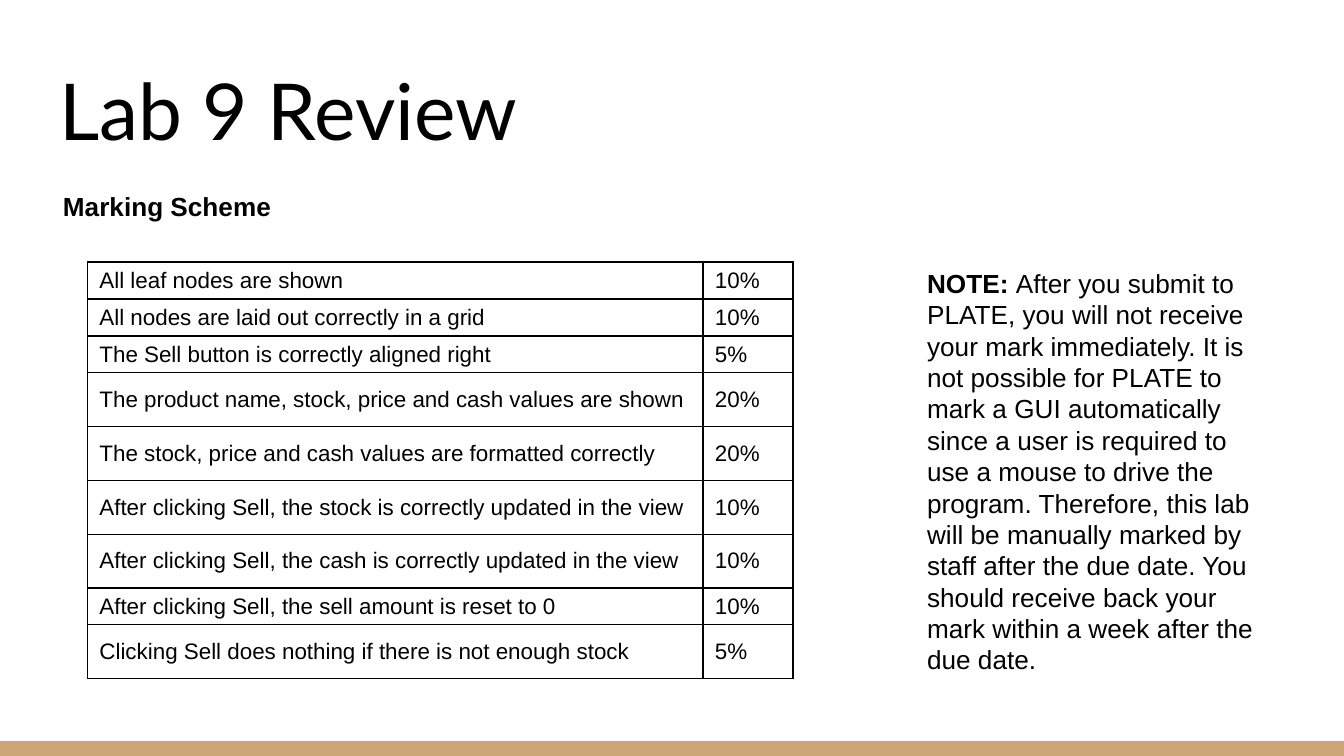
import pptx
import pptx.dml.color
import pptx.enum.shapes
import pptx.enum.text
import pptx.oxml
import pptx.oxml.ns
import pptx.util

BLACK = pptx.dml.color.RGBColor(0x00, 0x00, 0x00)
TAN = pptx.dml.color.RGBColor(0xCC, 0xA6, 0x77)
WIDTH = 10
HEIGHT = WIDTH * 9 / 16
ROW_SHORT, ROW_TALL = pptx.util.Pt(19.8), pptx.util.Pt(28.8)
COLUMNS = (4.58, 0.67)

MARKS = [
    ("All leaf nodes are shown", "10%", ROW_SHORT),
    ("All nodes are laid out correctly in a grid", "10%", ROW_SHORT),
    ("The Sell button is correctly aligned right", "5%", ROW_SHORT),
    ("The product name, stock, price and cash values are shown", "20%", ROW_TALL),
    ("The stock, price and cash values are formatted correctly", "20%", ROW_TALL),
    ("After clicking Sell, the stock is correctly updated in the view", "10%", ROW_TALL),
    ("After clicking Sell, the cash is correctly updated in the view", "10%", ROW_TALL),
    ("After clicking Sell, the sell amount is reset to 0", "10%", ROW_SHORT),
    ("Clicking Sell does nothing if there is not enough stock", "5%", ROW_TALL),
]
NOTE = (
    "After you submit to PLATE, you will not receive your mark immediately. "
    "It is not possible for PLATE to mark a GUI automatically since a user is "
    "required to use a mouse to drive the program. Therefore, this lab will be "
    "manually marked by staff after the due date. You should receive back your "
    "mark within a week after the due date."
)


def inches(box):
    return [pptx.util.Inches(v) for v in box]


def set_font(p, size, name="Arial"):
    p.font.size = pptx.util.Pt(size)
    p.font.name = name
    p.font.color.rgb = BLACK


def add_footer_bar(s, box):
    bar = s.shapes.add_shape(pptx.enum.shapes.MSO_SHAPE.RECTANGLE, *inches(box))
    bar.shadow.inherit = False
    bar.fill.solid()
    bar.fill.fore_color.rgb = TAN
    bar.line.fill.background()


def set_title(s, box, text):
    title = s.shapes.title
    title.left, title.top, title.width, title.height = inches(box)
    tf = title.text_frame
    tf.text = text
    tf.auto_size = pptx.enum.text.MSO_AUTO_SIZE.NONE
    tf.vertical_anchor = pptx.enum.text.MSO_ANCHOR.BOTTOM
    tf.margin_left = tf.margin_right = pptx.util.Inches(0.1)
    tf.margin_top = tf.margin_bottom = pptx.util.Inches(0.1)
    p = tf.paragraphs[0]
    p.alignment = pptx.enum.text.PP_ALIGN.LEFT
    set_font(p, 42, "Lato")


def add_text(s, box, lead, rest=""):
    """Place one paragraph with a bold lead and an optional plain rest."""
    tf = s.shapes.add_textbox(*inches(box)).text_frame
    tf.word_wrap = True
    p = tf.paragraphs[0]
    set_font(p, 14)
    r = p.add_run()
    r.text = lead
    r.font.bold = True
    if rest:
        p.add_run().text = rest


def add_borders(cell):
    """Draw a thin black line on all four sides of a cell."""
    props = cell._tc.get_or_add_tcPr()
    for i, side in enumerate(("lnL", "lnR", "lnT", "lnB")):
        props.insert(i, pptx.oxml.parse_xml(
            f'<a:{side} {pptx.oxml.ns.nsdecls("a")} w="{pptx.util.Pt(0.75)}">'
            f'<a:solidFill><a:srgbClr val="{BLACK}"/></a:solidFill></a:{side}>'))


def add_marking_table(s, box):
    table = s.shapes.add_table(len(MARKS), len(COLUMNS), *inches(box)).table
    table.first_row = table.horz_banding = False
    for column, width in zip(table.columns, COLUMNS):
        column.width = pptx.util.Inches(width)
    for row, (*texts, height) in zip(table.rows, MARKS):
        row.height = height
        for cell, text in zip(row.cells, texts):
            cell.text = text
            cell.fill.background()
            cell.vertical_anchor = pptx.enum.text.MSO_ANCHOR.MIDDLE
            cell.margin_left = cell.margin_right = pptx.util.Inches(0.09)
            cell.margin_top = cell.margin_bottom = pptx.util.Inches(0.04)
            set_font(cell.text_frame.paragraphs[0], 12)
            add_borders(cell)


def main():
    prs = pptx.Presentation()
    prs.slide_width, prs.slide_height = inches((WIDTH, HEIGHT))
    s = prs.slides.add_slide(prs.slide_layouts[5])
    add_footer_bar(s, (0, HEIGHT - 0.11, WIDTH, 0.11))
    set_title(s, (0.34, 0.35, WIDTH - 2 * 0.34, 0.91), "Lab 9 Review")
    add_marking_table(s, (0.65, 1.95, sum(COLUMNS), 3.1))
    add_text(s, (0.37, 1.37, 5.53, 0.34), "Marking Scheme")
    add_text(s, (6.8, 1.94, 2.77, 3.16), "NOTE:", "\N{NO-BREAK SPACE}" + NOTE)
    prs.save("out.pptx")


if __name__ == "__main__":
    main()
